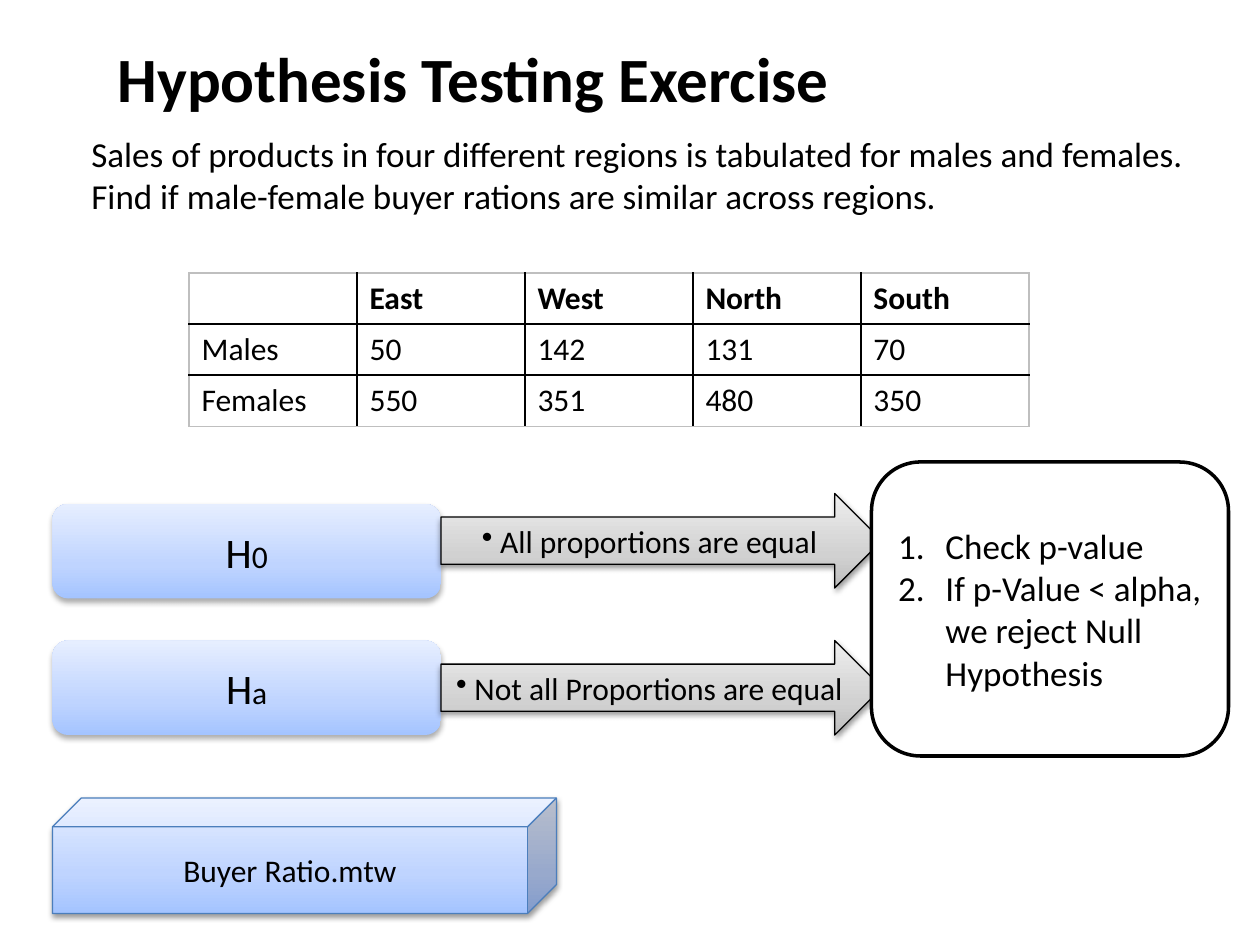
"""Build the hypothesis testing exercise slide."""
from typing import NamedTuple, Optional

from lxml import etree
from pptx import Presentation
from pptx.dml.color import RGBColor
from pptx.enum.shapes import MSO_SHAPE
from pptx.enum.text import MSO_ANCHOR, MSO_AUTO_SIZE, PP_ALIGN
from pptx.oxml.ns import qn
from pptx.util import Pt

ROUND, ARROW, CUBE = MSO_SHAPE.ROUNDED_RECTANGLE, MSO_SHAPE.RIGHT_ARROW, MSO_SHAPE.CUBE
LEFT, CENTER = PP_ALIGN.LEFT, PP_ALIGN.CENTER
TOP, MIDDLE = MSO_ANCHOR.TOP, MSO_ANCHOR.MIDDLE
NO_FIT = MSO_AUTO_SIZE.NONE

COLORS = {"black": "000000", "white": "FFFFFF", "edge": "BFBFBF", "cube": "4B7EBC"}
BLUE = ("A4C4FF", "BFD4FF", "E6EEFF")
GREY = ("BDBDBD", "D1D1D1", "EEEEEE")
STOPS = (0, 35, 100)
HANG = 27
DOT = ("buChar", {"char": "•"})
NUMBER = ("buAutoNum", {"type": "arabicPeriod"})
NO_BULLET = ("buNone", {})


class Run(NamedTuple):
    text: str
    size: float = 18
    bold: bool = False


class Shadow(NamedTuple):
    alpha: int
    blur: float
    dist: float


class Box(NamedTuple):
    kind: int
    at: tuple
    paras: list
    grad: Optional[tuple] = None
    line: Optional[tuple] = None
    shadow: Optional[Shadow] = None
    align: int = CENTER
    bullet: Optional[tuple] = None
    hang: float = 0


SOFT, CRISP = Shadow(32, 3.5, 2.2), Shadow(38, 3.1, 1.6)
THIN = ("black", 0.75)
BOXES = [
    Box(ROUND, (30, 288, 222, 54), [[Run("H", 24), Run("0")]], BLUE, None, SOFT),
    Box(ROUND, (30, 366, 222, 54), [[Run("H", 24), Run("a")]], BLUE, None, SOFT),
    Box(ARROW, (252, 282, 252, 54), [[Run(" All proportions are equal")]],
        GREY, THIN, CRISP, bullet=DOT),
    Box(ARROW, (252, 366, 252, 54), [[Run(" Not all Proportions are equal")]],
        GREY, THIN, CRISP, bullet=DOT),
    Box(ROUND, (498, 264, 204, 168),
        [[Run("Check p-value", 20)],
         [Run("If p-Value < alpha, we reject Null Hypothesis", 20)]],
        None, ("black", 2), None, LEFT, NUMBER, HANG),
    Box(CUBE, (30, 456, 288, 66), [[Run("Buyer Ratio.mtw")]], BLUE, ("cube", 0.75), CRISP),
]
ROWS = [
    ["", "East", "West", "North", "South"],
    ["Males", "50", "142", "131", "70"],
    ["Females", "550", "351", "480", "350"],
]


def sub(parent, tag: str, **attrs):
    return etree.SubElement(parent, qn(f"a:{tag}"), {k: str(v) for k, v in attrs.items()})


def add_color(parent, color: str):
    return sub(parent, "srgbClr", val=color)


def write_runs(p, runs: list, align: int = LEFT) -> None:
    p.alignment = align
    for run in runs:
        r = p.add_run()
        r.text = run.text
        fmt = {"size": Pt(run.size), "bold": run.bold, "name": "Calibri"}
        for key, value in fmt.items():
            setattr(r.font, key, value)
        r.font.color.rgb = RGBColor.from_string(COLORS["black"])


def set_bullet(p, bullet: tuple, margin: float = 0, indent: float = 0) -> None:
    pPr = p._p.get_or_add_pPr()
    pPr.set("marL", str(Pt(margin)))
    pPr.set("indent", str(Pt(indent)))
    tag, attrs = bullet
    sub(pPr, tag, **attrs)


def set_gradient(sp, colors: tuple) -> None:
    sp.fill.gradient()
    sp.fill.gradient_angle = 90
    stops = sp._element.spPr.find(qn("a:gradFill")).find(qn("a:gsLst"))
    for stop in list(stops):
        stops.remove(stop)
    for pos, color in zip(STOPS, colors):
        add_color(sub(stops, "gs", pos=pos * 1000), color)


def set_shadow(sp, shadow: Shadow) -> None:
    effects = sp._element.spPr.find(qn("a:effectLst"))
    outer = sub(effects, "outerShdw", blurRad=Pt(shadow.blur), dist=Pt(shadow.dist),
                dir=90 * 60000, rotWithShape=0)
    sub(add_color(outer, COLORS["black"]), "alpha", val=shadow.alpha * 1000)


def add_box(slide, box: Box) -> None:
    sp = slide.shapes.add_shape(box.kind, *map(Pt, box.at))
    sp.shadow.inherit = False
    if box.grad:
        set_gradient(sp, box.grad)
    else:
        sp.fill.solid()
        sp.fill.fore_color.rgb = RGBColor.from_string(COLORS["white"])
    if box.line:
        color, width = box.line
        sp.line.color.rgb = RGBColor.from_string(COLORS[color])
        sp.line.width = Pt(width)
    else:
        sp.line.fill.background()
    if box.shadow:
        set_shadow(sp, box.shadow)
    tf = sp.text_frame
    tf.word_wrap, tf.vertical_anchor = True, MIDDLE
    for i, runs in enumerate(box.paras):
        p = tf.add_paragraph() if i else tf.paragraphs[0]
        write_runs(p, runs, box.align)
        if box.bullet:
            set_bullet(p, box.bullet, box.hang, -box.hang)


def fill_placeholder(sp, at: tuple, run: Run, anchor: int):
    for name, value in zip(("left", "top", "width", "height"), at):
        setattr(sp, name, Pt(value))
    tf = sp.text_frame
    fmt = {"word_wrap": True, "auto_size": NO_FIT, "vertical_anchor": anchor}
    for key, value in fmt.items():
        setattr(tf, key, value)
    write_runs(tf.paragraphs[0], [run])
    return tf.paragraphs[0]


def add_sales_table(slide, at: tuple) -> None:
    n_rows, n_cols = len(ROWS), len(ROWS[0])
    table = slide.shapes.add_table(n_rows, n_cols, *map(Pt, at)).table
    table.first_row = table.horz_banding = False
    for i, row in enumerate(ROWS):
        for j, text in enumerate(row):
            cell = table.cell(i, j)
            outer = {"lnL": j == 0, "lnR": j == n_cols - 1,
                     "lnT": i == 0, "lnB": i == n_rows - 1}
            tcPr = cell._tc.get_or_add_tcPr()
            for side, is_edge in outer.items():
                ln = sub(tcPr, side, w=Pt(1))
                add_color(sub(ln, "solidFill"), COLORS["edge" if is_edge else "black"])
            cell.fill.solid()
            cell.fill.fore_color.rgb = RGBColor.from_string(COLORS["white"])
            if text:
                write_runs(cell.text_frame.paragraphs[0], [Run(text, 18, i == 0)])


def main() -> None:
    prs = Presentation()
    prs.slide_width, prs.slide_height = Pt(720), Pt(540)
    slide = prs.slides.add_slide(prs.slide_layouts[1])
    title, body = slide.placeholders
    fill_placeholder(title, (60, 16, 648, 56),
                     Run("Hypothesis Testing Exercise", 36, True), MIDDLE)
    p = fill_placeholder(body, (18, 72, 690, 450), Run(
        "Sales of products in four different regions is tabulated for males and females. "
        "Find if male-female buyer rations are similar across regions.", 20), TOP)
    set_bullet(p, NO_BULLET, HANG)
    add_sales_table(slide, (108, 156, 480, 87.6))
    for box in BOXES:
        add_box(slide, box)
    prs.save("out.pptx")


main()
